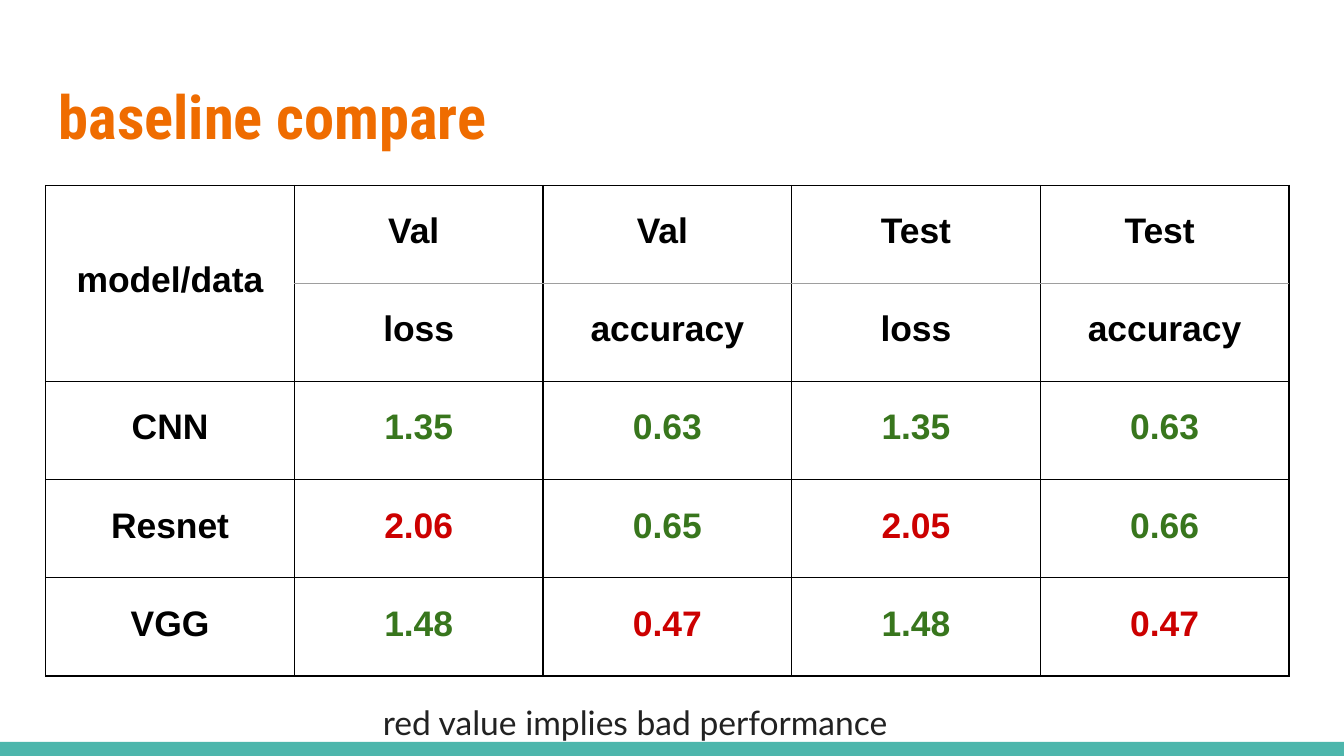
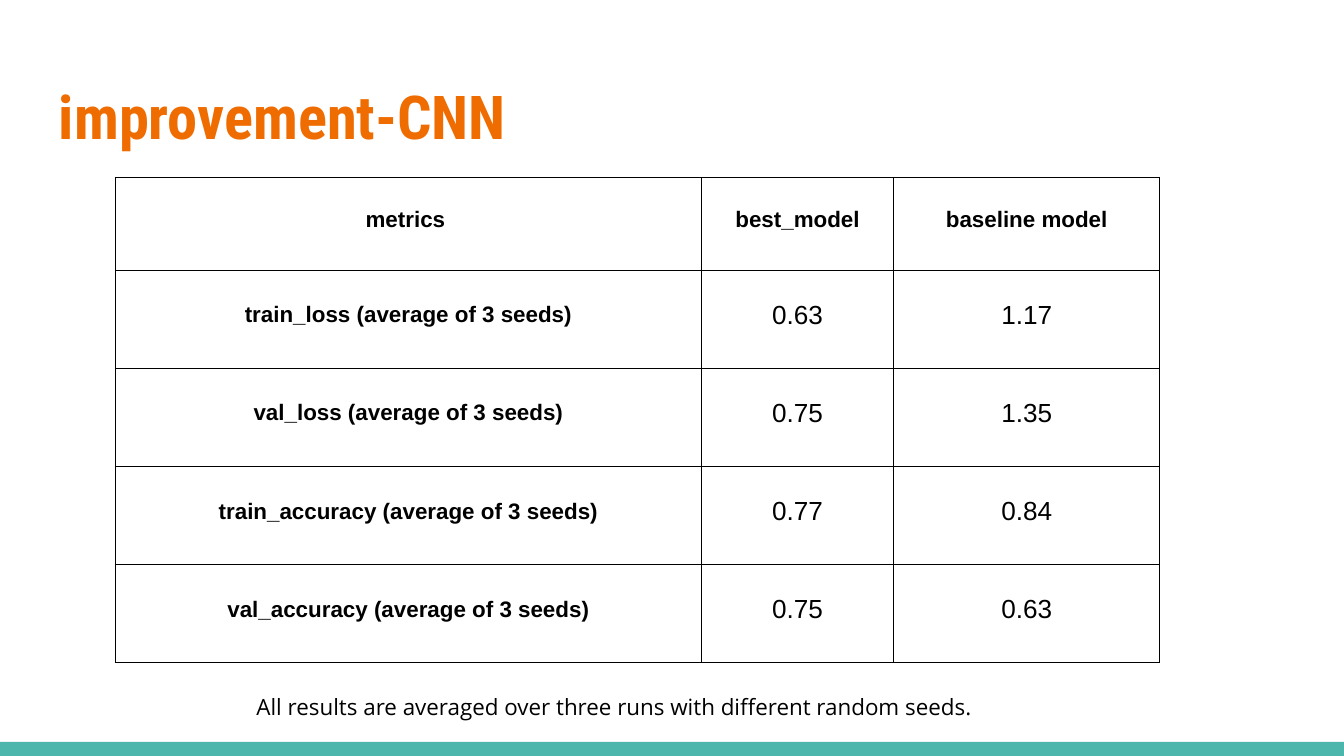
"""Build two slides that tabulate baseline and improved model results."""
import lxml.etree
import pptx
import pptx.dml.color
import pptx.enum.shapes
import pptx.enum.text
import pptx.oxml.ns
import pptx.util

Inches = pptx.util.Inches
rgb = pptx.dml.color.RGBColor.from_string
qn = pptx.oxml.ns.qn

ORANGE, TEAL, BLACK, GREY = "EF6C00", "4DB6AC", "000000", "9E9E9E"
GREEN, RED, CHARCOAL = "38761D", "CC0000", "222222"


def write(tf, text, font="Arial", size=12, color=BLACK, bold=False, align=None, spacing=None):
    tf.word_wrap = True
    p = tf.paragraphs[0]
    p.alignment = align
    p.line_spacing = spacing
    r = p.add_run()
    r.text = text
    r.font.name = font
    r.font.size = pptx.util.Pt(size)
    r.font.bold = bold
    r.font.color.rgb = rgb(color)


def add_border(cell, side, color):
    ln = lxml.etree.SubElement(cell._tc.get_or_add_tcPr(), qn("a:" + side), w=str(pptx.util.Pt(0.75)))
    fill = lxml.etree.SubElement(ln, qn("a:solidFill"))
    lxml.etree.SubElement(fill, qn("a:srgbClr"), val=color)


slides = [
    {
        "title": "baseline compare",
        "at": (0.34, 1.38),
        "cols": [1.85] * 5,
        "rows": [0.73] * 5,
        "header_rows": 2,
        "label": {"size": 19, "bold": True},
        "good": {"size": 19, "bold": True, "color": GREEN},
        "bad": {"size": 19, "bold": True, "color": RED},
        "bad_values": {"2.06", "2.05", "0.47"},
        "cells": [
            ["model/data", "Val ", "Val ", "Test", "Test "],
            ["", "loss", "accuracy", "loss", "accuracy"],
            ["CNN", "1.35", "0.63", "1.35", "0.63"],
            ["Resnet", "2.06", "0.65", "2.05", "0.66"],
            ["VGG", "1.48", "0.47", "1.48", "0.47"],
        ],
        "note": "red value implies bad performance",
        "note_at": (2.75, 5.12, 4.31, 0.5),
        "note_format": {"font": "Lato", "size": 18, "color": CHARCOAL},
    },
    {
        "title": "improvement-CNN",
        "at": (0.86, 1.32),
        "cols": [4.36, 1.43, 1.98],
        "rows": [0.69] + [0.73] * 4,
        "header_rows": 1,
        "label": {"size": 12, "bold": True},
        "good": {"size": 14},
        "bad_values": set(),
        "cells": [
            ["metrics ", "best_model", "baseline model"],
            ["train_loss (average of 3 seeds)", "0.63", "1.17"],
            ["val_loss (average of 3 seeds)", "0.75", "1.35"],
            ["train_accuracy (average of 3 seeds)", "0.77", "0.84"],
            ["val_accuracy (average of 3 seeds)", "0.75", "0.63"],
        ],
        "note": "All results are averaged over three runs with different random seeds.",
        "note_at": (1.81, 5.06, 6.01, 0.31),
        "note_format": {"font": "Open Sans"},
    },
]

prs = pptx.Presentation()
prs.slide_width = Inches(10)
prs.slide_height = prs.slide_width * 9 // 16

for data in slides:
    s = prs.slides.add_slide(prs.slide_layouts[6])

    band = s.shapes.add_shape(
        pptx.enum.shapes.MSO_SHAPE.RECTANGLE, Inches(0), Inches(5.52), prs.slide_width, Inches(0.11)
    )
    band.shadow.inherit = False
    band.fill.solid()
    band.fill.fore_color.rgb = rgb(TEAL)
    band.line.fill.background()

    texts = [
        (data["title"], (0.34, 0.49, 9.32, 0.77),
         {"font": "Roboto Condensed", "size": 32.4, "color": ORANGE, "bold": True}),
        (data["note"], data["note_at"], data["note_format"]),
    ]
    for text, at, style in texts:
        tf = s.shapes.add_textbox(*map(Inches, at)).text_frame
        tf.margin_left = tf.margin_top = tf.margin_right = tf.margin_bottom = Inches(0.1)
        write(tf, text, **style)

    cols, rows, headers = data["cols"], data["rows"], data["header_rows"]
    size = (sum(cols), sum(rows))
    table = s.shapes.add_table(len(rows), len(cols), *map(Inches, data["at"] + size)).table
    table.first_row = table.horz_banding = False
    for col, width in zip(table.columns, cols):
        col.width = Inches(width)
    for row, height in zip(table.rows, rows):
        row.height = Inches(height)

    for i, values in enumerate(data["cells"]):
        for j, value in enumerate(values):
            cell = table.cell(i, j)
            cell.margin_left = cell.margin_top = cell.margin_right = Inches(0.01)
            cell.margin_bottom = Inches(0.1)
            cell.vertical_anchor = pptx.enum.text.MSO_ANCHOR.MIDDLE
            for side in ("lnL", "lnR", "lnT", "lnB"):
                inner = j > 0 and ((side == "lnB" and i < headers - 1) or (side == "lnT" and 0 < i < headers))
                add_border(cell, side, GREY if inner else BLACK)
            cell.fill.background()
            if not value:
                continue
            if i < headers or j == 0:
                kind = "label"
            else:
                kind = "bad" if value in data["bad_values"] else "good"
            write(cell.text_frame, value, align=pptx.enum.text.PP_ALIGN.CENTER, spacing=1.15, **data[kind])

    if headers > 1:
        table.cell(0, 0).merge(table.cell(headers - 1, 0))

prs.save("out.pptx")
